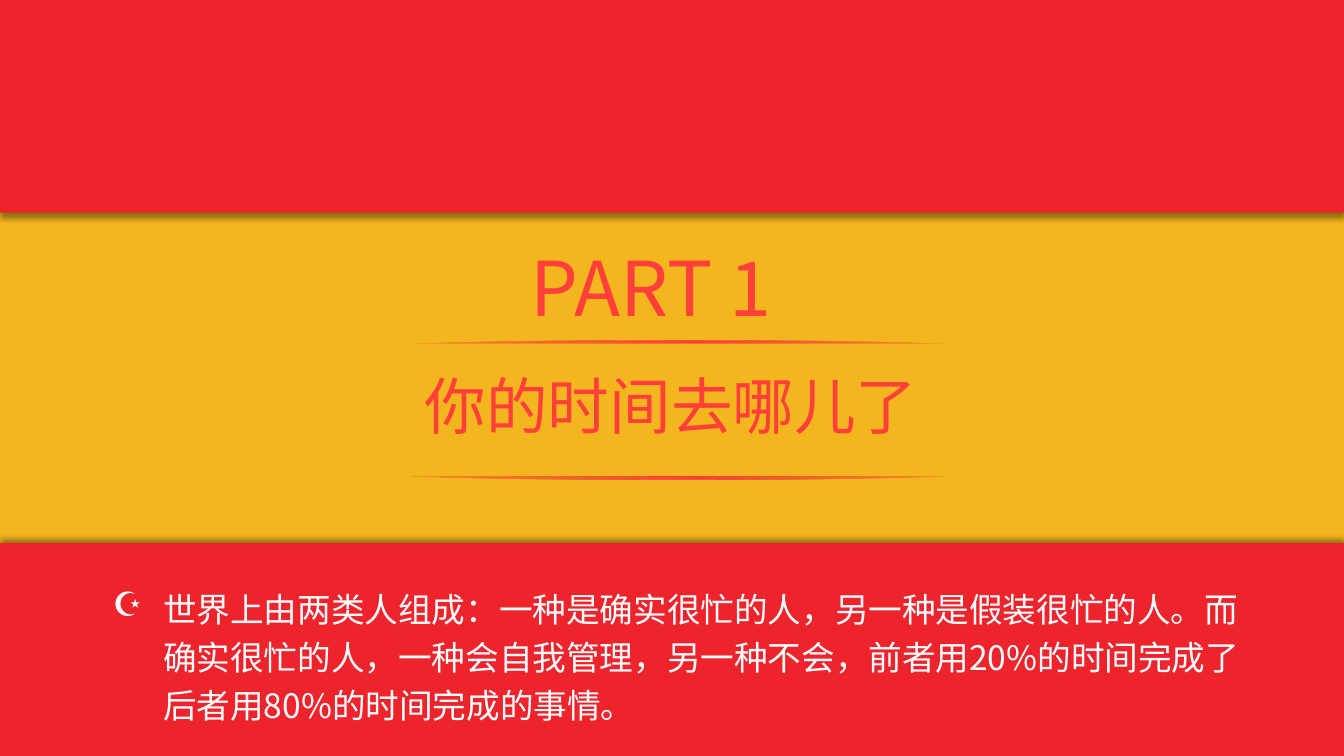
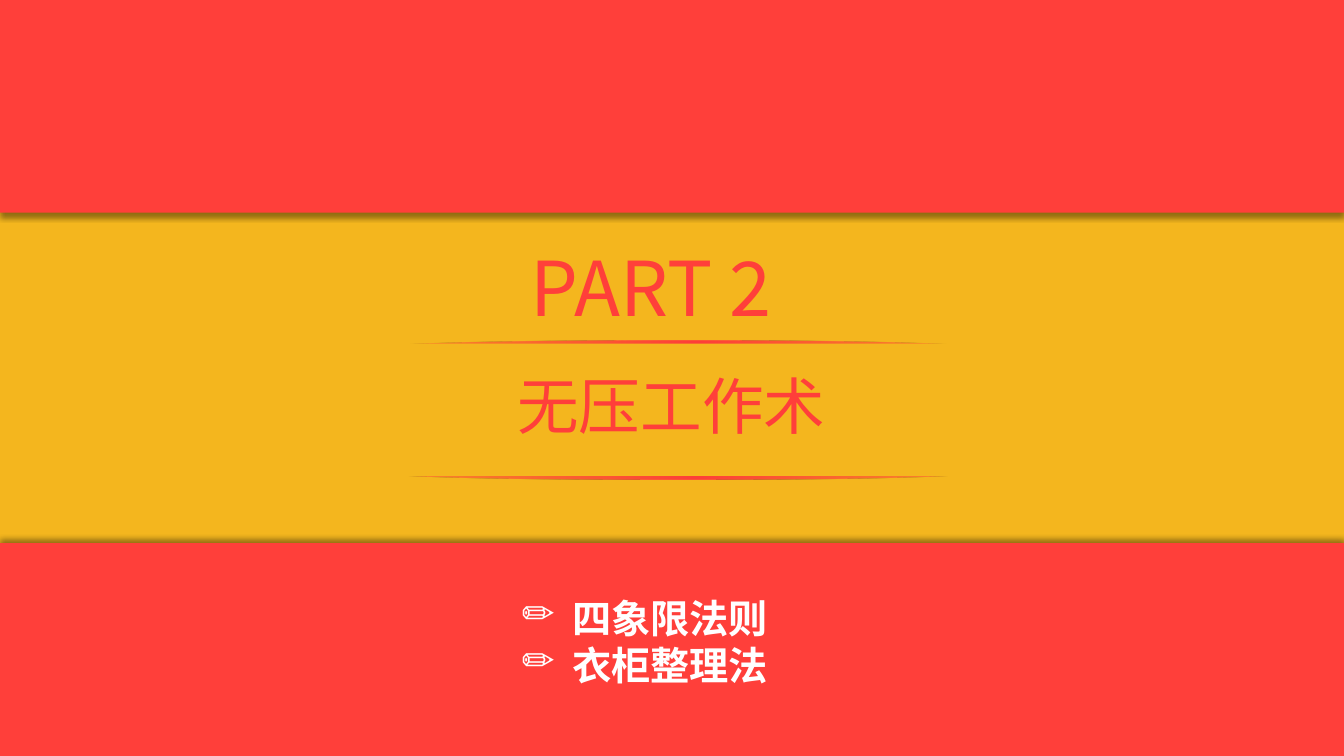
import lxml.etree
import pptx
import pptx.dml.color
import pptx.enum.shapes
import pptx.enum.text
import pptx.oxml.ns
import pptx.util

Cm = pptx.util.Cm
Pt = pptx.util.Pt
RGBColor = pptx.dml.color.RGBColor
Shape = pptx.enum.shapes.MSO_SHAPE
Align = pptx.enum.text.PP_ALIGN
qn = pptx.oxml.ns.qn

GOLD = RGBColor(0xF4, 0xB6, 0x1E)
CORAL = RGBColor(0xFF, 0x3F, 0x3A)
CRIMSON = RGBColor(0xED, 0x24, 0x2C)
BLACK = RGBColor(0x00, 0x00, 0x00)
WHITE = RGBColor(0xFF, 0xFF, 0xFF)
FONT = "Noto Sans CJK SC"

WIDTH, HEIGHT, BAND_HEIGHT = Cm(33.87), Cm(19.05), Cm(5.36)
BANDS = [(0, 90), (HEIGHT - BAND_HEIGHT, 270)]  # top, shadow direction
RULE_TOPS = [Cm(11.79), Cm(8.59)]
RULE_STOPS = [(0, 35), (53, 100), (100, 35)]  # position, opacity in percent

PART_FORMAT = {"size": Pt(54), "bold": False}
TITLE_FORMAT = {"size": Pt(44), "bold": False}

SECTIONS = [
    {
        "part": "PART 1",
        "title": "你的时间去哪儿了",
        "band": CRIMSON,
        "bullet": "☪",
        "points": ["世界上由两类人组成：一种是确实很忙的人，另一种是假装很忙的人。"
                   "而确实很忙的人，一种会自我管理，另一种不会，"
                   "前者用20%的时间完成了后者用80%的时间完成的事情。"],
        "place": (Cm(2.59), Cm(14.5), Cm(29.01), Cm(3.84)),
        "format": {"size": Pt(24), "bold": False},
        "spacing": 1.2,
    },
    {
        "part": "PART 2",
        "title": "无压工作术",
        "band": CORAL,
        "bullet": "✏",
        "points": ["四象限法则", "衣柜整理法"],
        "place": (Cm(12.9), Cm(14.86), Cm(8.03), Cm(2.64)),
        "format": {"size": Pt(28), "bold": True},
        "spacing": 1.0,
    },
]


def add_element(parent, tag, **attributes):
    values = {name: str(value) for name, value in attributes.items()}
    return lxml.etree.SubElement(parent, qn(tag), values)


def write(paragraph, text, color, values):
    """Add one run, with the deck's font for Latin and Chinese characters."""
    span = paragraph.add_run()
    span.text = text
    for name, value in values.items():
        setattr(span.font, name, value)
    span.font.color.rgb = color
    span.font.name = FONT
    add_element(span.font._element, "a:ea", typeface=FONT)


deck = pptx.Presentation()
deck.slide_width, deck.slide_height = WIDTH, HEIGHT
background = deck.slide_master.background.fill
background.solid()
background.fore_color.rgb = GOLD
title_only = deck.slide_layouts[5]

for section in SECTIONS:
    page = deck.slides.add_slide(title_only)

    for top, direction in BANDS:
        band = page.shapes.add_shape(Shape.RECTANGLE, 0, top, WIDTH, BAND_HEIGHT)
        band.fill.solid()
        band.fill.fore_color.rgb = section["band"]
        band.line.fill.background()
        effects = add_element(band.element.spPr, "a:effectLst")
        shadow = add_element(effects, "a:outerShdw", blurRad=Pt(4), dist=Pt(3),
                             dir=direction * 60000, algn="ctr", rotWithShape=0)
        shade = add_element(shadow, "a:srgbClr", val=BLACK)
        add_element(shade, "a:alpha", val=40000)

    for top in RULE_TOPS:
        rule = page.shapes.add_shape(Shape.OVAL, Cm(9.73), top, Cm(14.73), Cm(0.28))
        rule.shadow.inherit = False
        rule.line.fill.background()
        rule.fill.gradient()
        rule.fill.gradient_angle = 0
        stops = rule.element.spPr.find(".//" + qn("a:gsLst"))
        for stop in list(stops):
            stops.remove(stop)
        for position, opacity in RULE_STOPS:
            stop = add_element(stops, "a:gs", pos=position * 1000)
            tint = add_element(stop, "a:srgbClr", val=CORAL)
            add_element(tint, "a:alpha", val=opacity * 1000)

    # The filled title hides the inner half of each rule, so it goes in front.
    title = page.shapes.title
    title.element.getparent().append(title.element)
    title.left, title.top = Cm(9.3), Cm(8.66)
    title.width, title.height = Cm(15.24), Cm(3.33)
    title.fill.solid()
    title.fill.fore_color.rgb = GOLD
    title.text_frame.auto_size = pptx.enum.text.MSO_AUTO_SIZE.NONE
    title.text_frame.vertical_anchor = pptx.enum.text.MSO_ANCHOR.MIDDLE
    heading = title.text_frame.paragraphs[0]
    heading.alignment = Align.CENTER
    heading.line_spacing = 0.9
    write(heading, section["title"], CORAL, TITLE_FORMAT)

    part = page.shapes.add_textbox(Cm(13.13), Cm(5.94), Cm(7.62), Cm(2.57))
    part.text_frame.word_wrap = True
    write(part.text_frame.paragraphs[0], section["part"], CORAL, PART_FORMAT)

    box = page.shapes.add_textbox(*section["place"])
    box.text_frame.word_wrap = True
    for index, point in enumerate(section["points"]):
        if index:
            paragraph = box.text_frame.add_paragraph()
        else:
            paragraph = box.text_frame.paragraphs[0]
        properties = paragraph._p.get_or_add_pPr()
        properties.set("marL", str(Cm(1.27)))
        properties.set("indent", str(-Cm(1.27)))
        add_element(properties, "a:buChar", char=section["bullet"])
        paragraph.line_spacing = section["spacing"]
        write(paragraph, point, WHITE, section["format"])

deck.save("out.pptx")
